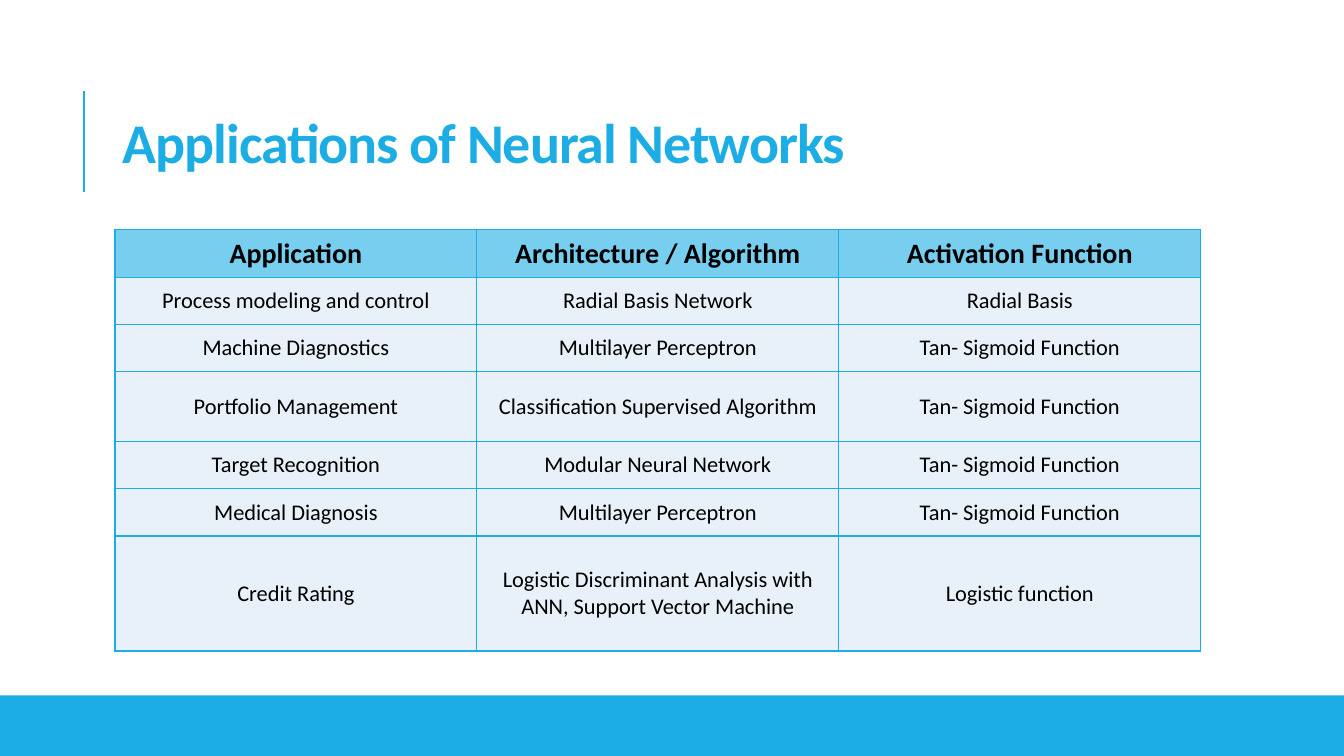
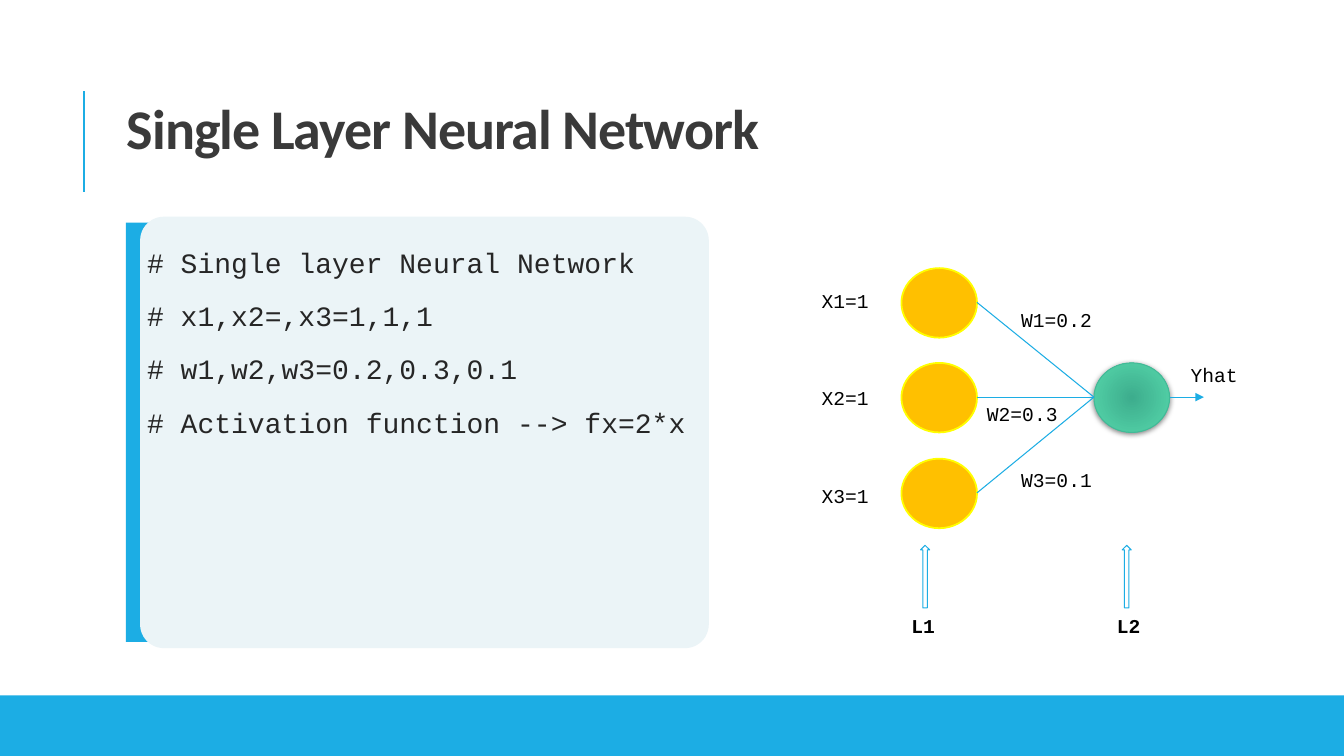
from lxml import etree
from pptx import Presentation
from pptx import util as u
from pptx.dml.color import RGBColor
from pptx.enum import shapes, text
from pptx.oxml import parse_xml
from pptx.oxml.ns import nsdecls, qn

PX = u.Inches(1) // 100
WIDTH, HEIGHT = 1333, 750
BLUE, BLACK = "1CADE4", "000000"
SANS, MONO = "Calibri", "Courier New"
rgb = RGBColor.from_string


def add_shape(page, kind, frame, fill=None, line=None, weight=0.75):
    shape = page.shapes.add_shape(kind, *[n * PX for n in frame])
    shape.shadow.inherit = False
    if fill:
        shape.fill.solid()
        shape.fill.fore_color.rgb = rgb(fill)
    else:
        shape.fill.background()
    if line:
        shape.line.color.rgb = rgb(line)
        shape.line.width = u.Pt(weight)
    else:
        shape.line.fill.background()
    return shape


def style_paragraph(para, size, color, font, bold=False):
    for span in para.runs:
        span.font.size = u.Pt(size)
        span.font.color.rgb = rgb(color)
        span.font.name = font
        span.font.bold = bold


deck = Presentation()
deck.slide_width, deck.slide_height = WIDTH * PX, HEIGHT * PX

# Shared frame: accent rule, bottom band and title
titles = [
    ("Applications of Neural Networks", (112, 64, 1063, 164), BLUE),
    ("Single Layer Neural Network", (125, 92, 787, 69), "3A3A3A"),
]
pages = []
for title, frame, color in titles:
    page = deck.slides.add_slide(deck.slide_layouts[6])
    rule = page.shapes.add_connector(
        shapes.MSO_CONNECTOR.STRAIGHT, 83 * PX, 190 * PX, 83 * PX, 90 * PX)
    rule.line.width = u.Pt(1.5)
    add_shape(page, shapes.MSO_SHAPE.RECTANGLE, (0, 690, WIDTH, 60), BLUE)
    box = page.shapes.add_textbox(*[n * PX for n in frame])
    box.text_frame.word_wrap = True
    box.text_frame.text = title
    para = box.text_frame.paragraphs[0]
    style_paragraph(para, 40, color, SANS, True)
    para.runs[0].font._element.set("spc", "-70")
    pages.append((page, box.text_frame))

# Slide 1: table of applications
page, heading = pages[0]
heading.vertical_anchor = text.MSO_ANCHOR.MIDDLE
heading.paragraphs[0].line_spacing = 0.8

rows = [
    (47, "Application", "Architecture / Algorithm", "Activation Function"),
    (47, "Process modeling and control", "Radial Basis Network", "Radial Basis"),
    (47, "Machine Diagnostics", "Multilayer Perceptron", "Tan- Sigmoid Function"),
    (69, "Portfolio Management", "Classification Supervised Algorithm",
     "Tan- Sigmoid Function"),
    (47, "Target Recognition", "Modular Neural Network", "Tan- Sigmoid Function"),
    (47, "Medical Diagnosis", "Multilayer Perceptron", "Tan- Sigmoid Function"),
    (114, "Credit Rating",
     "Logistic Discriminant Analysis with ANN, Support Vector Machine",
     "Logistic function"),
]
table = page.shapes.add_table(
    len(rows), 3, 114 * PX, 228 * PX, 3 * 359 * PX, 416 * PX).table
table.horz_banding = False
for column in table.columns:
    column.width = 359 * PX
for r, (height, *words) in enumerate(rows):
    table.rows[r].height = height * PX
    for c, word in enumerate(words):
        cell = table.cell(r, c)
        cell.text = word
        cell.vertical_anchor = text.MSO_ANCHOR.MIDDLE
        cell.margin_left = cell.margin_right = 0
        cell.margin_top = cell.margin_bottom = 0
        para = cell.text_frame.paragraphs[0]
        para.alignment = text.PP_ALIGN.CENTER
        style_paragraph(para, 16 if r else 20, BLACK, SANS, r == 0)
        for side in ("lnL", "lnR", "lnT", "lnB"):
            cell._tc.get_or_add_tcPr().append(parse_xml(
                f'<a:{side} {nsdecls("a")} w="12700"><a:solidFill>'
                f'<a:srgbClr val="{BLUE}"/></a:solidFill></a:{side}>'))
        cell.fill.solid()
        cell.fill.fore_color.rgb = rgb("E8F1FA" if r else "77CEEF")

# Slide 2: code panel
page, heading = pages[1]
heading.margin_left = heading.margin_top = PX
heading.margin_right = heading.margin_bottom = 0

code = [
    "# Single layer Neural Network",
    "# x1,x2=,x3=1,1,1",
    "# w1,w2,w3=0.2,0.3,0.1",
    "# Activation function --> fx=2*x",
]
add_shape(page, shapes.MSO_SHAPE.RECTANGLE, (125, 221, 556, 416), BLUE)
panel = add_shape(page, shapes.MSO_SHAPE.ROUNDED_RECTANGLE,
                  (139, 215, 564, 428), "EBF4F7")
panel.adjustments[0] = 0.055
frame = panel.text_frame
frame.margin_left = frame.margin_right = frame.margin_bottom = 0
frame.margin_top = 5 * PX
frame.vertical_anchor = text.MSO_ANCHOR.TOP
frame.text = "\n".join(code)
for para in frame.paragraphs:
    para.alignment = text.PP_ALIGN.LEFT
    para.line_spacing = 1.5
    para.space_after = u.Pt(2)
    style_paragraph(para, 20, "262626", MONO)

# Slide 2: network diagram
NODE_W, NODE_H = 75, 69
INPUT_X, OUTPUT_X, OUTPUT_Y = 894, 1085, 360
input_tops = [266 + i * 189 // 2 for i in range(3)]
for top in input_tops:
    add_shape(page, shapes.MSO_SHAPE.OVAL, (INPUT_X, top, NODE_W, NODE_H),
              "FFC000", "FFFF00", 1.25)

output = add_shape(page, shapes.MSO_SHAPE.OVAL,
                   (OUTPUT_X, OUTPUT_Y, NODE_W, NODE_H), "57D8AC", "42BA97")
props = output._element.spPr
props.replace(props.find(qn("a:solidFill")), parse_xml(
    f'<a:gradFill {nsdecls("a")} rotWithShape="1"><a:gsLst>'
    '<a:gs pos="0"><a:srgbClr val="3DAD8D"/></a:gs>'
    '<a:gs pos="100000"><a:srgbClr val="57D8AC"/></a:gs></a:gsLst>'
    '<a:path path="circle"><a:fillToRect l="100000" t="100000" r="100000" '
    'b="100000"/></a:path></a:gradFill>'))
props.find(qn("a:effectLst")).append(parse_xml(
    f'<a:outerShdw {nsdecls("a")} blurRad="50800" dist="12700" dir="5400000" '
    'rotWithShape="0"><a:srgbClr val="000000"><a:alpha val="50000"/>'
    '</a:srgbClr></a:outerShdw>'))

middle = OUTPUT_Y + NODE_H // 2
links = [(INPUT_X + NODE_W, top + NODE_H // 2, OUTPUT_X, middle)
         for top in input_tops]
links.append((OUTPUT_X + NODE_W, middle, 1194, middle))
for ends in links:
    link = page.shapes.add_connector(
        shapes.MSO_CONNECTOR.STRAIGHT, *[n * PX for n in ends])
    link.line.width = u.Pt(0.75)
etree.SubElement(link.line._get_or_add_ln(), qn("a:tailEnd"), type="triangle")

labels = [(f"X{i + 1}=1", 805, 282 + i * 193 // 2, 75, False) for i in range(3)]
labels += [
    ("W1=0.2", 1003, 301, 95, False),
    ("W2=0.3", 969, 394, 102, False),
    ("W3=0.1", 1003, 459, 95, False),
    ("Yhat", 1171, 355, 75, False),
    ("L1", 894, 604, 75, True),
    ("L2", 1098, 604, 75, True),
]
for word, left, top, width, bold in labels:
    box = page.shapes.add_textbox(left * PX, top * PX, width * PX, 34 * PX)
    box.text_frame.word_wrap = True
    box.text_frame.text = word
    style_paragraph(box.text_frame.paragraphs[0], 14, BLACK, MONO, bold)

for left in (913, 1113):
    add_shape(page, shapes.MSO_SHAPE.UP_ARROW, (left, 541, 9, 62), line=BLUE)

# All connectors: accent colour, no shadow
for page, heading in pages:
    for shape in page.shapes:
        if shape.shape_type == shapes.MSO_SHAPE_TYPE.LINE:
            shape.line.color.rgb = rgb(BLUE)
            etree.SubElement(shape._element.spPr, qn("a:effectLst"))

deck.save("out.pptx")
